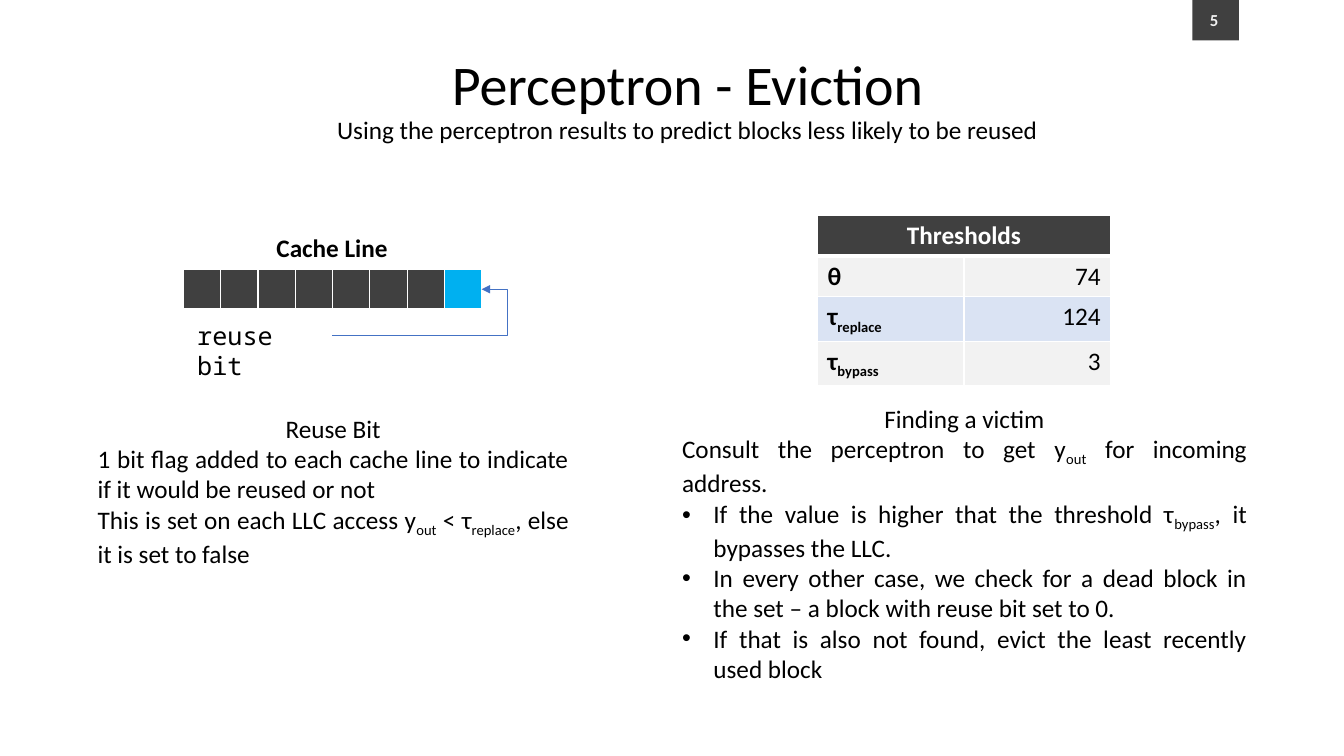
import pptx
import pptx.util
import pptx.dml.color
import pptx.enum.shapes
import pptx.enum.text
import pptx.oxml
import pptx.oxml.ns
from pptx.util import Cm

RGBColor = pptx.dml.color.RGBColor
Align = pptx.enum.text.PP_ALIGN
Anchor = pptx.enum.text.MSO_ANCHOR

BLACK = RGBColor(0x00, 0x00, 0x00)
WHITE = RGBColor(0xFF, 0xFF, 0xFF)
DARK = RGBColor(0x40, 0x40, 0x40)
LIGHT = RGBColor(0xF2, 0xF2, 0xF2)
PALE_BLUE = RGBColor(0xDA, 0xE3, 0xF3)
SKY = RGBColor(0x00, 0xB0, 0xF0)
ARROW_BLUE = RGBColor(0x44, 0x72, 0xC4)

SANS = "Calibri"
MONO = "Noto Sans Mono"
CACHE_CELLS = 8


def xml_element(tag, **attributes):
    element = pptx.oxml.parse_xml(f"<a:{tag} {pptx.oxml.ns.nsdecls('a')}/>")
    for name, value in attributes.items():
        element.set(name, str(value))
    return element


def add_runs(paragraph, text, size=18, color=BLACK, bold=False, font=SANS):
    """Write text in which every second part between bars is a subscript."""
    for index, part in enumerate(text.split("|")):
        run = paragraph.add_run()
        run.text = part
        run.font.size = pptx.util.Pt(size)
        run.font.name = font
        run.font.bold = bold
        run.font.color.rgb = color
        if index % 2:
            run.font._element.set("baseline", "-25000")


def add_bullet(paragraph):
    properties = paragraph._p.get_or_add_pPr()
    properties.set("marL", str(Cm(0.79)))
    properties.set("indent", str(-Cm(0.79)))
    properties.append(xml_element("buFont", typeface="Arial"))
    properties.append(xml_element("buChar", char="•"))


def add_text_box(slide, left, top, width, height, anchor=Anchor.TOP):
    shape = slide.shapes.add_textbox(Cm(left), Cm(top), Cm(width), Cm(height))
    shape.text_frame.word_wrap = True
    shape.text_frame.vertical_anchor = anchor
    return shape.text_frame


def add_label(slide, place, text, align=Align.LEFT, anchor=Anchor.TOP, **style):
    paragraph = add_text_box(slide, *place, anchor).paragraphs[0]
    paragraph.alignment = align
    add_runs(paragraph, text, **style)


def add_explanation(slide, place, heading, sentences, bullets=()):
    frame = add_text_box(slide, *place)
    frame.paragraphs[0].alignment = Align.CENTER
    add_runs(frame.paragraphs[0], heading)
    for text in [*sentences, *bullets]:
        paragraph = frame.add_paragraph()
        paragraph.alignment = Align.JUSTIFY
        if text in bullets:
            add_bullet(paragraph)
        add_runs(paragraph, text)


def add_table(slide, rows, columns, left, top, width, height):
    shape = slide.shapes.add_table(rows, columns, Cm(left), Cm(top), Cm(width), Cm(height))
    shape.table.first_row = False
    shape.table.horz_banding = False
    return shape.table


def style_cell(cell, color, bottom_width=1):
    cell.fill.solid()
    cell.fill.fore_color.rgb = color
    properties = cell._tc.get_or_add_tcPr()
    widths = {"lnL": 1, "lnR": 1, "lnT": 1, "lnB": bottom_width}
    for index, (side, width) in enumerate(widths.items()):
        border = xml_element(side, w=pptx.util.Pt(width))
        fill = xml_element("solidFill")
        fill.append(xml_element("srgbClr", val=WHITE))
        border.append(fill)
        properties.insert(index, border)


def fill_cell(cell, text, align, **style):
    paragraph = cell.text_frame.paragraphs[0]
    paragraph.alignment = align
    add_runs(paragraph, text, **style)


def add_page_number(slide):
    shape = slide.shapes.add_shape(
        pptx.enum.shapes.MSO_SHAPE.RECTANGLE, Cm(30.05), 0, Cm(1.17), Cm(1.02))
    shape.shadow.inherit = False
    shape.fill.solid()
    shape.fill.fore_color.rgb = DARK
    shape.line.fill.background()
    add_label(slide, (30.05, 0, 1.09, 1.02), "5", Align.CENTER, Anchor.MIDDLE,
              size=12, color=LIGHT, bold=True)


def add_title(slide):
    frame = add_text_box(slide, 2.72, 0.71, 29.21, 3.68, Anchor.MIDDLE)
    paragraph = frame.paragraphs[0]
    paragraph.alignment = Align.CENTER
    paragraph.line_spacing = 0.9
    add_runs(paragraph, "Perceptron - Eviction", size=40)
    paragraph.add_line_break()
    add_runs(paragraph, "Using the perceptron results to predict blocks less likely to be reused")


def add_cache_line(slide):
    table = add_table(slide, 1, CACHE_CELLS, 4.62, 6.78, 7.52, 1.04)
    for index in range(CACHE_CELLS):
        is_reuse_bit = index == CACHE_CELLS - 1
        style_cell(table.cell(0, index), SKY if is_reuse_bit else DARK, 3)
    add_label(slide, (6.4, 5.74, 3.94, 1.02), "Cache Line", Align.CENTER, bold=True)
    add_label(slide, (4.72, 7.95, 3.68, 1.02), "reuse bit", font=MONO)


def add_reuse_arrow(slide):
    connector = slide.shapes.add_connector(
        pptx.enum.shapes.MSO_CONNECTOR.ELBOW, Cm(8.38), Cm(8.46), Cm(12.14), Cm(7.29))
    connector.line.color.rgb = ARROW_BLUE
    connector.line.width = pptx.util.Pt(0.5)
    connector.line._get_or_add_ln().append(xml_element("tailEnd", type="triangle"))
    properties = connector._element.spPr
    properties.append(xml_element("effectLst"))
    # The bend lies beyond the arrow's end
    adjustments = properties.find(pptx.oxml.ns.qn("a:prstGeom")).get_or_add_avLst()
    adjustments.append(xml_element("gd", name="adj1", fmla="val 116900"))


def add_thresholds(slide):
    thresholds = [("θ", "74"), ("τ|replace", "124"), ("τ|bypass", "3")]
    table = add_table(slide, len(thresholds) + 1, 2, 20.6, 5.42, 7.39, 4.12)
    header = table.cell(0, 0)
    header.merge(table.cell(0, 1))
    for column in range(2):
        style_cell(table.cell(0, column), DARK, 3)
    fill_cell(header, "Thresholds", Align.CENTER, color=WHITE, bold=True)
    for row, (name, value) in enumerate(thresholds, start=1):
        for column in range(2):
            style_cell(table.cell(row, column), LIGHT if row % 2 else PALE_BLUE)
        fill_cell(table.cell(row, 0), name, Align.LEFT, bold=True)
        fill_cell(table.cell(row, 1), value, Align.RIGHT)


def main():
    presentation = pptx.Presentation()
    presentation.slide_width = Cm(33.87)
    presentation.slide_height = Cm(19.05)
    slide = presentation.slides.add_slide(presentation.slide_layouts[6])

    # Heading
    add_page_number(slide)
    add_title(slide)

    # Left half: the reuse bit
    add_cache_line(slide)
    add_reuse_arrow(slide)
    add_explanation(slide, (2.21, 10.29, 12.37, 7.95), "Reuse Bit", [
        "1 bit flag added to each cache line to indicate if it would be reused or not",
        "This is set on each LLC access y|out| < τ|replace|, else it is set to false",
    ])

    # Right half: choosing a victim
    add_thresholds(slide)
    add_explanation(slide, (16.94, 10.03, 14.73, 7.19), "Finding a victim", [
        "Consult the perceptron to get y|out| for incoming address.",
    ], [
        "If the value is higher that the threshold τ|bypass|, it bypasses the LLC.",
        "In every other case, we check for a dead block in the set – a block with reuse bit set to 0.",
        "If that is also not found, evict the least recently used block",
    ])

    presentation.save("out.pptx")


if __name__ == "__main__":
    main()
